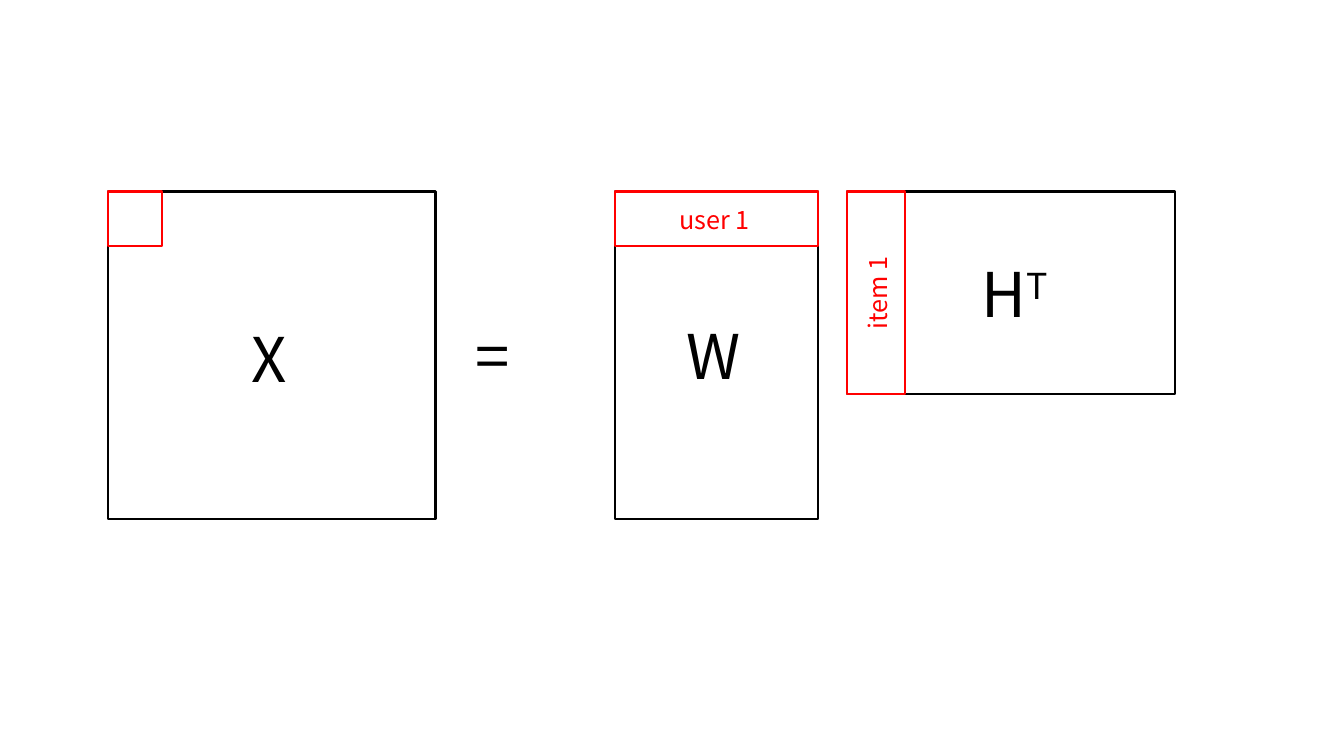
import pptx
import pptx.dml.color
import pptx.enum.shapes
import pptx.enum.text
import pptx.util

PX = 9144
BLACK = pptx.dml.color.RGBColor(0x00, 0x00, 0x00)
RED = pptx.dml.color.RGBColor(0xFF, 0x00, 0x00)
FONT = "Noto Sans CJK JP"
SIDE, RANK, CELL, ITEM_WIDTH = 325, 201, 54, 58
TOP = 190


def add_outline(page, box, color):
    """Draw an unfilled rectangle over the given box."""
    shape = page.shapes.add_shape(
        pptx.enum.shapes.MSO_SHAPE.RECTANGLE, *(length * PX for length in box))
    shape.shadow.inherit = False
    shape.fill.background()
    shape.line.color.rgb = color
    shape.line.width = pptx.util.Pt(1.5)


def add_label(page, box, text, size, color, superscript="", rotation=0):
    """Write one unwrapped line of text, with an optional superscript."""
    label = page.shapes.add_textbox(*(length * PX for length in box))
    label.rotation = rotation
    frame = label.text_frame
    frame.word_wrap = False
    frame.auto_size = pptx.enum.text.MSO_AUTO_SIZE.SHAPE_TO_FIT_TEXT
    frame.text = text
    para = frame.paragraphs[0]
    if superscript:
        span = para.add_run()
        span.text = superscript
        span.font._element.set("baseline", "30000")
    for span in para.runs:
        span.font.name = FONT
        span.font.size = pptx.util.Pt(size)
        span.font.color.rgb = color


def add_product_matrix(page, box):
    """Place the matrix X with its first cell marked."""
    left, top, width, height = box
    add_outline(page, box, BLACK)
    add_label(page, (left + 133, top + 123, 60, 84), "X", 44, BLACK)
    add_outline(page, (left, top, CELL, CELL), RED)


def add_user_matrix(page, box):
    """Place the matrix W with its first row marked."""
    left, top, width, height = box
    add_outline(page, box, BLACK)
    add_label(page, (left + 61, top + 121, 78, 84), "W", 44, BLACK)
    add_outline(page, (left, top, width, CELL), RED)
    add_label(page, (left + 54, top + 8, 92, 40), "user 1", 18, RED)


def add_item_matrix(page, box):
    """Place the transposed matrix H with its first column marked."""
    left, top, width, height = box
    add_outline(page, box, BLACK)
    add_label(page, (left + 124, top + 59, 92, 84), "H", 44, BLACK, superscript="T")
    add_outline(page, (left, top, ITEM_WIDTH, height), RED)
    add_label(page, (left - 16, top + 80, 93, 40), "item 1", 18, RED, rotation=270)


def main():
    """Build the matrix factorisation slide."""
    deck = pptx.Presentation()
    deck.slide_width = 1333 * PX
    deck.slide_height = 750 * PX
    page = deck.slides.add_slide(deck.slide_layouts[6])
    add_product_matrix(page, (107, TOP, SIDE, SIDE))
    add_label(page, (462, TOP + 121, 65, 84), "=", 44, BLACK)
    add_user_matrix(page, (610, TOP, RANK, SIDE))
    add_item_matrix(page, (840, TOP, SIDE, RANK))
    deck.save("out.pptx")


if __name__ == "__main__":
    main()
